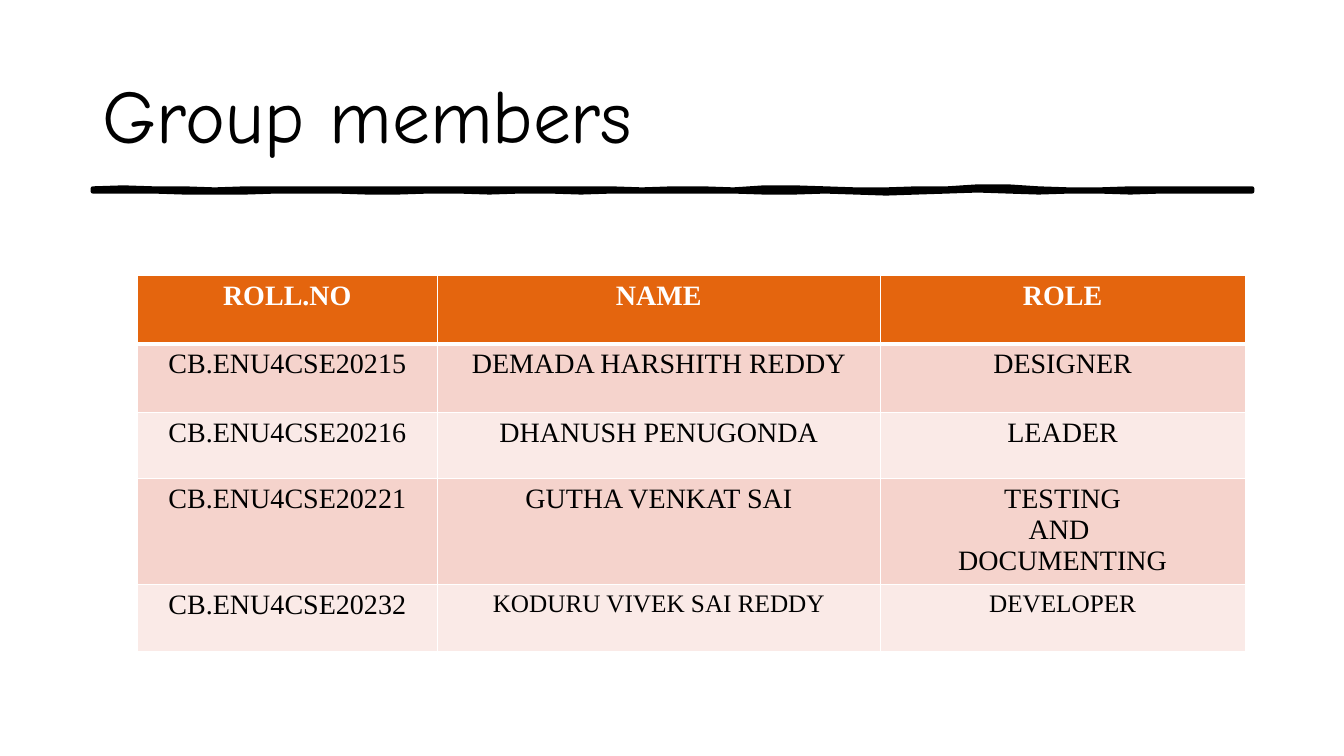
from dataclasses import dataclass

from lxml import etree
from pptx import Presentation, util as u
from pptx.dml.color import RGBColor
from pptx.enum import text
from pptx.oxml import ns

W, H = 13.33, 7.5


@dataclass(frozen=True)
class Theme:
    ink: str = "000000"
    white: str = "FFFFFF"
    head: str = "E4650E"
    bands: tuple = ("F5D3CC", "FAEAE7")
    title: str = "Comic Neue"
    body: str = "Times New Roman"
    big: int = 54
    mid: int = 20
    small: int = 18
    rule: int = 3
    thin: int = 1


T = Theme()

COLS = (2.98, 4.39, 3.62)
ROWS = (0.68, 0.68, 0.66, 1.02, 0.66)
MEMBERS = (
    ("ROLL.NO", "NAME", "ROLE"),
    ("CB.ENU4CSE20215", "DEMADA HARSHITH REDDY", "DESIGNER"),
    ("CB.ENU4CSE20216", "DHANUSH PENUGONDA", "LEADER"),
    ("CB.ENU4CSE20221", "GUTHA VENKAT SAI", "TESTING\nAND \nDOCUMENTING"),
    ("CB.ENU4CSE20232", "KODURU VIVEK SAI REDDY", "DEVELOPER"),
)
# Upper and lower edge of the brush stroke, in hundredths of an inch
UPPER = (0, -1, 0, 0, 1, 0, 0, 0, 0, 0, 0, 0, 0, 0, 0, 0, 0, 0, 1, 0,
         0, 1, -1, -1, 0, 1, 1, 0, 0, -2, -2, 0, 1, 1, 0, 0, 0, 0, 0)
LOWER = (3, 3, 3, 4, 4, 4, 3, 3, 3, 4, 4, 3, 3, 4, 3, 3, 4, 3, 3, 3,
         3, 3, 4, 4, 3, 4, 5, 4, 3, 2, 3, 4, 3, 3, 4, 3, 3, 3, 3)


def style(run, **look):
    color = look.pop("color")
    for key, val in look.items():
        setattr(run.font, key, val)
    run.font.color.rgb = RGBColor.from_string(color)


def title(slide, box, words):
    frame = slide.shapes.add_textbox(*map(u.Inches, box)).text_frame
    frame.word_wrap = True
    frame.vertical_anchor = text.MSO_ANCHOR.MIDDLE
    run = frame.paragraphs[0].add_run()
    run.text = words
    style(run, name=T.title, size=u.Pt(T.big), color=T.ink)


def stroke(slide, box):
    left, top, width = box
    step = width / (len(UPPER) - 1)
    over, under = (
        [(u.Inches(left + i * step), u.Inches(top + y / 100))
         for i, y in enumerate(side)] for side in (UPPER, LOWER))
    edge = over + under[::-1]
    pen = slide.shapes.build_freeform(*edge[0])
    pen.add_line_segments(edge[1:], close=True)
    line = pen.convert_to_shape()
    line.shadow.inherit = False
    line.fill.solid()
    line.fill.fore_color.rgb = RGBColor.from_string(T.ink)
    line.line.color.rgb = RGBColor.from_string(T.ink)
    line.line.width = u.Pt(T.rule)


def border(cell, high, low):
    props = cell._tc.get_or_add_tcPr()
    sides = {"lnL": T.thin, "lnR": T.thin, "lnT": high, "lnB": low}
    for spot, (side, size) in enumerate(sides.items()):
        line = etree.Element(ns.qn(f"a:{side}"), w=str(u.Pt(size)))
        fill = etree.SubElement(line, ns.qn("a:solidFill"))
        etree.SubElement(fill, ns.qn("a:srgbClr"), val=T.white)
        props.insert(spot, line)


def roster(slide, box):
    left, top = box
    size = (left, top, sum(COLS), sum(ROWS))
    grid = slide.shapes.add_table(
        len(ROWS), len(COLS), *map(u.Inches, size)).table
    for col, wide in zip(grid.columns, COLS):
        col.width = u.Inches(wide)
    for r, (row, tall) in enumerate(zip(grid.rows, ROWS)):
        row.height = u.Inches(tall)
        first, last = r == 0, r == len(ROWS) - 1
        for c, cell in enumerate(row.cells):
            cell.text = MEMBERS[r][c]
            cell.margin_bottom = 0
            cell.fill.solid()
            shade = T.head if first else T.bands[(r - 1) % 2]
            cell.fill.fore_color.rgb = RGBColor.from_string(shade)
            # The rule under the header belongs to both rows that meet there
            border(cell, T.rule if r == 1 else T.thin,
                   T.rule if first else T.thin)
            pts = T.small if last and c else T.mid
            for para in cell.text_frame.paragraphs:
                para.alignment = text.PP_ALIGN.CENTER
                style(para.runs[0], name=T.body, size=u.Pt(pts), bold=first,
                      color=T.white if first else T.ink)


def main():
    deck = Presentation()
    deck.slide_width, deck.slide_height = u.Inches(W), u.Inches(H)
    slide = deck.slides.add_slide(deck.slide_layouts[6])
    edge, wide = 0.92, 11.5
    # Heading with its hand-drawn rule
    stroke(slide, (edge, 1.87, wide))
    title(slide, (edge, 0.4, wide, 1.45), "Group members")
    # Table of members
    roster(slide, (1.36, 2.73))
    deck.save("out.pptx")


if __name__ == "__main__":
    main()
